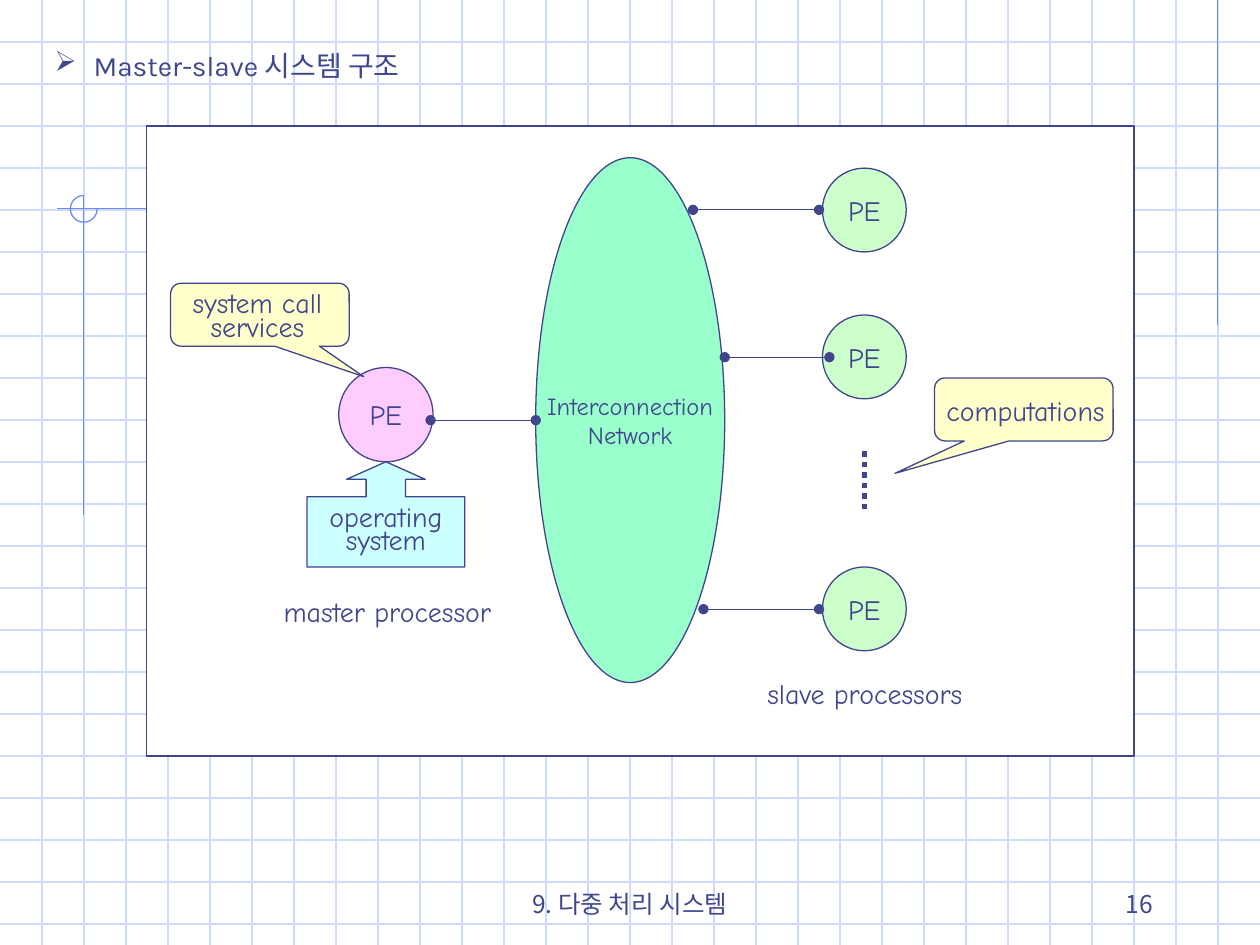
"""Build the master-slave multiprocessor structure slide."""
import dataclasses

import lxml.etree
import pptx
import pptx.dml.color
import pptx.enum.dml
import pptx.enum.shapes
import pptx.enum.text
import pptx.oxml.ns
import pptx.util

Cm = pptx.util.Cm
Pt = pptx.util.Pt
SHAPE = pptx.enum.shapes.MSO_SHAPE
ALIGN = pptx.enum.text.PP_ALIGN
ANCHOR = pptx.enum.text.MSO_ANCHOR
qn = pptx.oxml.ns.qn


@dataclasses.dataclass(frozen=True)
class Theme:
    ink: str = "40458C"
    grid: str = "CFDBFD"
    accent: str = "6F89F7"
    panel: str = "FFFFFF"
    master: str = "FFCCFF"
    slave: str = "CCFFCC"
    network: str = "99FFCC"
    system: str = "CCFFFF"
    note: str = "FFFFCC"
    hand: str = "Comic Neue"
    title: str = "Karla"
    korean: str = "Noto Sans CJK KR"
    body: int = 16
    small: int = 14
    thin: float = 0.75
    thick: float = 3


@dataclasses.dataclass
class Canvas:
    slide: object
    theme: Theme

    def color(self, value):
        return pptx.dml.color.RGBColor.from_string(value)

    def stroke(self, line, color, width):
        line.color.rgb = self.color(color)
        line.width = Pt(width)

    def line(self, x1, y1, x2, y2, color, width=None, ends=False, dash=None):
        s = self.slide.shapes.add_connector(
            pptx.enum.shapes.MSO_CONNECTOR.STRAIGHT, Cm(x1), Cm(y1), Cm(x2), Cm(y2))
        self.stroke(s.line, color, width or self.theme.thin)
        if dash:
            s.line.dash_style = dash
        sp_pr = s._element.spPr
        if ends:
            ln = sp_pr.find(qn("a:ln"))
            for tag in ("a:headEnd", "a:tailEnd"):
                lxml.etree.SubElement(ln, qn(tag), type="oval")
        lxml.etree.SubElement(sp_pr, qn("a:effectLst"))

    def shape(self, kind, x, y, w, h, fill=None, line=None, adj=(), text="", **style):
        sp = self.slide.shapes.add_shape(kind, Cm(x), Cm(y), Cm(w), Cm(h))
        sp.shadow.inherit = False
        if fill:
            sp.fill.solid()
            sp.fill.fore_color.rgb = self.color(fill)
        else:
            sp.fill.background()
        self.stroke(sp.line, line or self.theme.ink, self.theme.thin)
        for i, value in enumerate(adj):
            sp.adjustments[i] = value
        if text:
            self.put_text(sp.text_frame, text, anchor=ANCHOR.MIDDLE, **style)

    def text(self, x, y, w, h, text, **style):
        s = self.slide.shapes.add_textbox(Cm(x), Cm(y), Cm(w), Cm(h))
        self.put_text(s.text_frame, text, **style)

    def put_text(self, tf, text, size=None, font=None, align=ALIGN.CENTER,
                 anchor=ANCHOR.TOP, spacing=None, wrap=False, bullet=None):
        tf.text = text
        tf.word_wrap = wrap
        tf.vertical_anchor = anchor
        for p in tf.paragraphs:
            if bullet:
                self.bullet(p, bullet)
            p.alignment = align
            if spacing:
                p.line_spacing = spacing
            for r in p.runs:
                r.font.size = Pt(size or self.theme.body)
                r.font.name = font or self.theme.hand
                r.font.color.rgb = self.color(self.theme.ink)
                lxml.etree.SubElement(
                    r._r.get_or_add_rPr(), qn("a:ea"), typeface=self.theme.korean)

    def bullet(self, p, char):
        p_pr = p._p.get_or_add_pPr()
        p_pr.set("marL", str(Cm(0.79)))
        p_pr.set("indent", str(-Cm(0.79)))
        clr = lxml.etree.SubElement(p_pr, qn("a:buClr"))
        lxml.etree.SubElement(clr, qn("a:srgbClr"), val=self.theme.ink)
        lxml.etree.SubElement(p_pr, qn("a:buChar"), char=char)


def draw_background(c, width, height):
    t = c.theme
    step = 2.54 / 3
    for i in range(1, 23):
        c.line(0, i * step, width, i * step, t.grid)
    for i in range(1, 30):
        c.line(i * step, 0, i * step, height, t.grid)
    c.line(24.55, 0, 24.55, 6.56, t.accent)
    c.line(6.1, 4.21, 1.14, 4.21, t.accent)
    c.line(1.69, 3.94, 1.69, 10.39, t.accent)
    c.shape(SHAPE.ARC, 1.42, 3.94, 0.54, 0.54, line=t.accent, adj=(0, 162))


def draw_diagram(c):
    t = c.theme
    c.shape(SHAPE.RECTANGLE, 2.96, 2.54, 19.9, 12.7, t.panel)
    for y in (3.39, 6.35, 11.43):
        c.shape(SHAPE.OVAL, 16.58, y, 1.69, 1.69, t.slave, text="PE")
    c.shape(SHAPE.OVAL, 6.83, 7.41, 1.9, 1.9, t.master, text="PE")
    c.shape(SHAPE.UP_ARROW_CALLOUT, 6.19, 9.31, 3.18, 2.12, t.system,
            adj=(0.375, 0.375, 0.167, 0.667), text="operating\nsystem", spacing=0.7)
    c.text(15.21, 13.51, 4.45, 0.94, "slave processors")
    c.text(5.46, 11.86, 4.7, 0.94, "master processor")
    c.shape(SHAPE.OVAL, 10.8, 3.18, 3.81, 10.58, t.network,
            text="Interconnection\nNetwork", size=t.small)
    for x1, x2, y in ((16.72, 14.61, 7.2), (16.51, 13.97, 4.23),
                      (16.51, 14.18, 12.28), (10.8, 8.68, 8.47)):
        c.line(x1, y, x2, y, t.ink, ends=True)
    c.line(17.43, 9.1, 17.43, 10.37, t.ink, t.thick,
           dash=pptx.enum.dml.MSO_LINE.ROUND_DOT)
    for x, y, tip in ((18.84, 7.62, (-0.721, 1.014)), (3.44, 5.71, (0.581, 0.983))):
        c.shape(SHAPE.ROUNDED_RECTANGULAR_CALLOUT, x, y, 3.6, 1.27, t.note,
                adj=(*tip, 0.167))
    c.text(18.82, 7.8, 3.71, 0.94, "computations")
    c.text(3.63, 5.82, 3.12, 1.22, "system call\nservices", spacing=0.7)


def main():
    prs = pptx.Presentation()
    prs.slide_width, prs.slide_height = Cm(25.4), Cm(19.05)
    t = Theme()
    c = Canvas(prs.slides.add_slide(prs.slide_layouts[6]), t)
    draw_background(c, 25.4, 19.05)
    draw_diagram(c)
    c.text(0.85, 0.85, 23.71, 0.94, "Master-slave 시스템 구조", font=t.title,
           align=ALIGN.LEFT, wrap=True, bullet="➢")
    footer = dict(size=t.small, font=t.korean, anchor=ANCHOR.BOTTOM, wrap=True)
    c.text(8.68, 17.36, 8.04, 1.27, "9. 다중 처리 시스템", **footer)
    c.text(18.2, 17.36, 5.29, 1.27, "16", align=ALIGN.RIGHT, **footer)
    prs.save("out.pptx")


if __name__ == "__main__":
    main()
